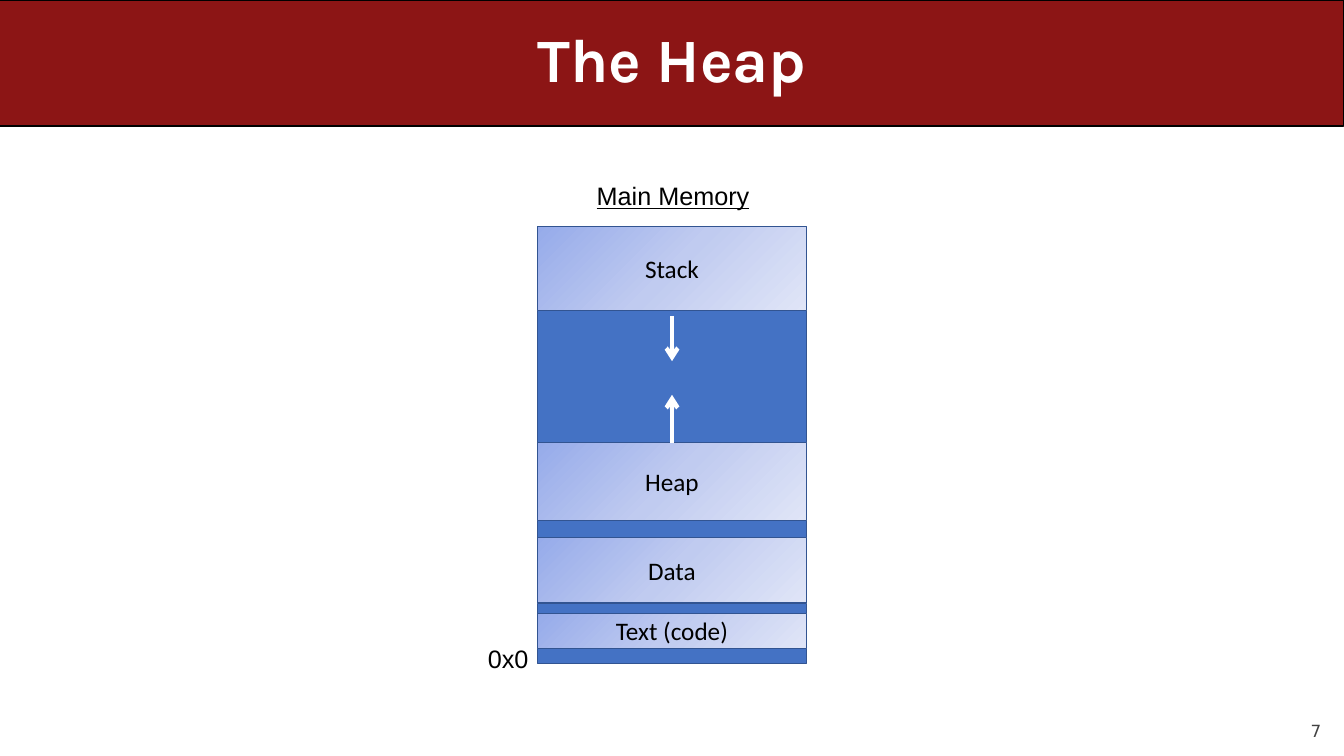
from copy import deepcopy

from lxml import etree
from pptx import Presentation
from pptx import util as u
from pptx.dml.color import RGBColor
from pptx.enum import shapes, text
from pptx.oxml import ns

COLUMNS, ROWS = 160, 90
ALIGN = {"left": text.PP_ALIGN.LEFT, "center": text.PP_ALIGN.CENTER, "right": text.PP_ALIGN.RIGHT}
ANCHOR = {"top": text.MSO_ANCHOR.TOP, "middle": text.MSO_ANCHOR.MIDDLE,
          "bottom": text.MSO_ANCHOR.BOTTOM}


def color(hex_code):
    return RGBColor.from_string(hex_code)


def write(shape, words, font="Arial", size=18, fill="000000", bold=False, underline=False,
          align="center", anchor="middle", wrap=True, inset=None, line_spacing=None):
    frame = shape.text_frame
    frame.word_wrap = wrap
    frame.vertical_anchor = ANCHOR[anchor]
    if not wrap:
        frame.auto_size = text.MSO_AUTO_SIZE.SHAPE_TO_FIT_TEXT
    if inset is not None:
        frame.margin_left = frame.margin_right = u.Inches(inset)
        frame.margin_top = frame.margin_bottom = u.Inches(inset)
    paragraph = frame.paragraphs[0]
    paragraph.alignment = ALIGN[align]
    paragraph.line_spacing = line_spacing
    run = paragraph.add_run()
    run.text = words
    run.font.name, run.font.size = font, u.Pt(size)
    run.font.bold, run.font.underline = bold, underline
    run.font.color.rgb = color(fill)


class MemorySlide:
    """Draws on one slide; lengths are columns and rows of a 160 by 90 grid."""
    banner_fill, banner_line = "8C1515", "000000"
    memory_fill, memory_line = "4472C4", "325491"
    segment_stops = ((0, "96ABEA"), (0.5, "C0CBF0"), (1, "E0E5F7"))
    arrow_color = "FFFFFF"

    def __init__(self, presentation):
        self.column = presentation.slide_width / COLUMNS
        self.row = presentation.slide_height / ROWS
        self.shapes = presentation.slides.add_slide(presentation.slide_layouts[6]).shapes

    def place(self, column, row):
        return round(column * self.column), round(row * self.row)

    def box(self, left, top, width, height, line, line_width=1, fill=None,
            kind=shapes.MSO_SHAPE.RECTANGLE):
        shape = self.shapes.add_shape(kind, *self.place(left, top), *self.place(width, height))
        shape.shadow.inherit = False
        if fill:
            shape.fill.solid()
            shape.fill.fore_color.rgb = color(fill)
        shape.line.color.rgb = color(line)
        shape.line.width = u.Pt(line_width)
        return shape

    def banner(self, height):
        shape = self.box(0, 0, COLUMNS, height, self.banner_line, 0.75, self.banner_fill,
                         shapes.MSO_SHAPE.ROUNDED_RECTANGLE)
        shape.adjustments[0] = 0

    def label(self, words, left, top, width, height, **style):
        shape = self.shapes.add_textbox(*self.place(left, top), *self.place(width, height))
        write(shape, words, **style)

    def memory(self, left, top, width, height):
        self.box(left, top, width, height, self.memory_line, fill=self.memory_fill)

    def segment(self, name, left, top, width, height):
        shape = self.box(left, top, width, height, self.memory_line)
        shape.fill.gradient()
        shape.fill.gradient_angle = 315
        first_stop = shape.element.spPr.find(".//" + ns.qn("a:gs"))
        first_stop.addnext(deepcopy(first_stop))
        for stop, (position, shade) in zip(shape.fill.gradient_stops, self.segment_stops):
            stop.position = position
            stop.color.rgb = color(shade)
        write(shape, name, font="Calibri")
        return shape

    def arrow(self, column, start_row, end_row, source=None):
        line = self.shapes.add_connector(shapes.MSO_CONNECTOR.STRAIGHT,
                                         *self.place(column, start_row),
                                         *self.place(column, end_row))
        if source is not None:
            line.begin_connect(source, 0)
        line.line.color.rgb = color(self.arrow_color)
        line.line.width = u.Pt(3)
        etree.SubElement(line.line._get_or_add_ln(), ns.qn("a:tailEnd"), type="arrow")
        etree.SubElement(line.element.spPr, ns.qn("a:effectLst"))


def main():
    presentation = Presentation()
    presentation.slide_width, presentation.slide_height = u.Inches(13.33), u.Inches(7.5)
    slide = MemorySlide(presentation)

    slide.banner(15)
    slide.label("The Heap", 6, 0, 148, 15, font="Karla", size=44, fill="FFFFFF", bold=True,
                line_spacing=0.9)
    slide.label("7", 144, 83.4, 13.3, 4.8, font="DejaVu Sans", size=12, fill="424242",
                align="right", anchor="bottom", inset=0)

    left, width = 64, 32
    middle = left + width / 2
    slide.memory(left, 27, width, 52)
    segments = {name: slide.segment(name, left, top, width, height) for name, top, height in (
        ("Stack", 27, 10), ("Heap", 52.7, 9.3), ("Data", 64, 7.8), ("Text (code)", 73, 4.2))}
    slide.arrow(middle, 37.6, 43)
    slide.arrow(middle, 52.7, 47, source=segments["Heap"])

    slide.label("Main Memory", 69.6, 20.9, 20.8, 4.8, underline=True, align="right",
                anchor="top", wrap=False)
    slide.label("0x0", 55.1, 76, 9, 6, align="right", anchor="top", wrap=False)
    presentation.save("out.pptx")


if __name__ == "__main__":
    main()
